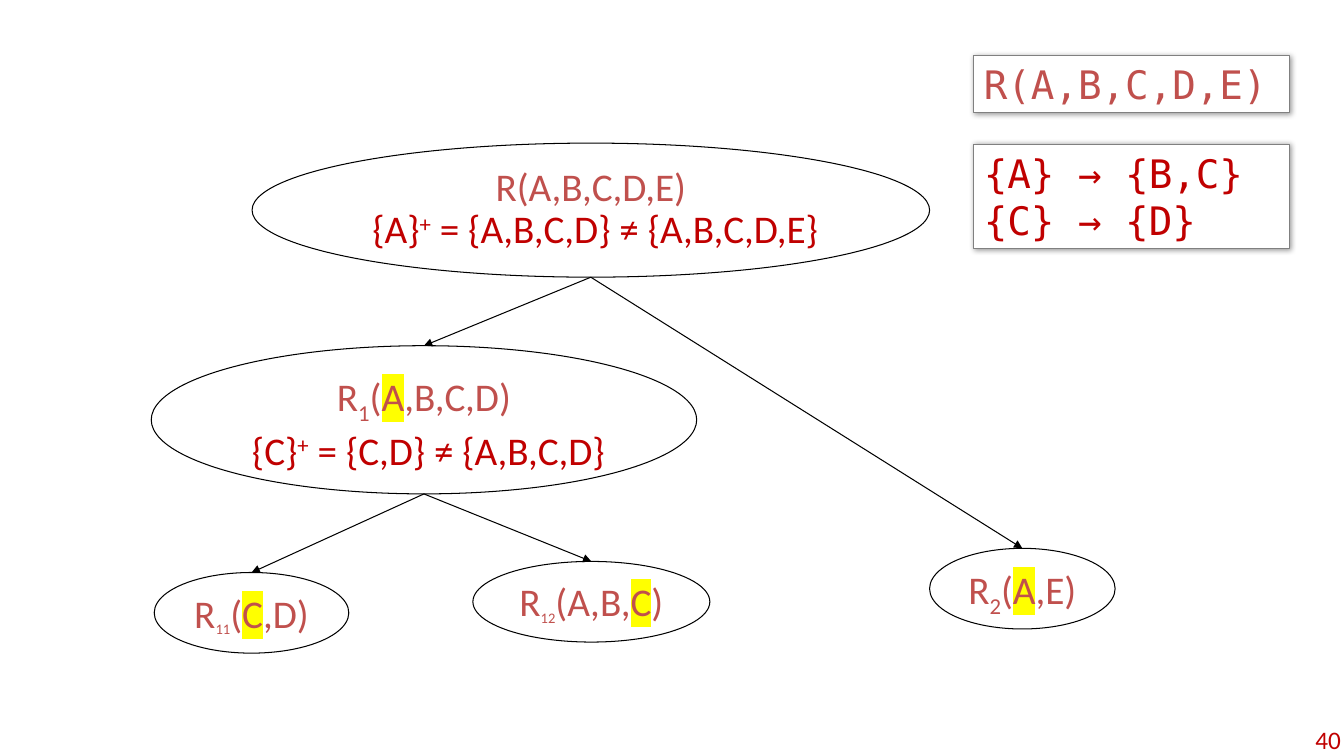
from dataclasses import dataclass

from lxml.etree import SubElement
from pptx import Presentation
from pptx.dml.color import RGBColor
from pptx.enum.shapes import MSO_CONNECTOR, MSO_SHAPE
from pptx.enum.text import MSO_ANCHOR, MSO_AUTO_SIZE, PP_ALIGN
from pptx.oxml.ns import qn
from pptx.util import Inches, Pt


@dataclass(frozen=True)
class Theme:
    relation: str = "C0504D"
    dependency: str = "C00000"
    highlight: str = "FFFF00"
    ink: str = "000000"
    paper: str = "FFFFFF"
    border: str = "808080"
    body_font: str = "Calibri"
    code_font: str = "DejaVu Sans Mono"
    body: int = 28
    small: int = 18
    line: float = 0.75


T = Theme()
SUB, SUP = -25000, 30000
KEY = dict(highlight=T.highlight)

# Each node: box, lines of (text, format) runs, paragraph format
NODES = {
    "R": ((2.5, 1.42, 6.72, 1.33), [
        [("R(A,B,C,D,E)", {})],
        [(" {A}", {}), ("+", dict(baseline=SUP)), (" = {A,B,C,D} ≠ {A,B,C,D,E}", {})],
    ], dict(spacing=0.9)),
    "R1": ((1.5, 3.43, 5.41, 1.47), [
        [("R", {}), ("1", dict(baseline=SUB)), ("(", {}), ("A", KEY), (",B,C,D)", {})],
        [(" {C}", {}), ("+", dict(baseline=SUP)), (" = {C,D} ≠ {A,B,C,D}", {})],
    ], {}),
    "R2": ((9.22, 5.44, 1.84, 0.8), [
        [("R", {}), ("2", dict(baseline=SUB)), ("(", {}), ("A", KEY), (",E)", {})],
    ], {}),
    "R11": ((1.53, 5.68, 1.93, 0.8), [
        [("R", {}), ("11", dict(size=T.small, baseline=SUB)), ("(", {}), ("C", KEY), (",D)", {})],
    ], {}),
    "R12": ((4.69, 5.57, 2.35, 0.8), [
        [("R", {}), ("12", dict(size=T.small, baseline=SUB)), ("(A,B,", {}), ("C", KEY), (")", {})],
    ], dict(anchor=MSO_ANCHOR.MIDDLE)),
}
EDGES = [("R", "R1"), ("R", "R2"), ("R1", "R11"), ("R1", "R12")]


def rgb(color):
    return RGBColor.from_string(color)


def add_text(p, text, size=T.body, font=T.body_font, color=T.relation,
             baseline=None, highlight=None):
    r = p.add_run()
    r.text = text
    r.font.size = Pt(size)
    r.font.color.rgb = rgb(color)
    rPr = r.font._element
    if baseline:
        rPr.set("baseline", str(baseline))
    if highlight:
        SubElement(SubElement(rPr, qn("a:highlight")), qn("a:srgbClr"), val=highlight)
    r.font.name = font


def add_outlined(s, kind, box, line):
    sp = s.shapes.add_shape(kind, *map(Inches, box))
    sp.shadow.inherit = False
    sp.fill.background()
    sp.line.color.rgb = rgb(line)
    sp.line.width = Pt(T.line)
    sp.text_frame.auto_size = MSO_AUTO_SIZE.SHAPE_TO_FIT_TEXT
    sp.text_frame.vertical_anchor = MSO_ANCHOR.TOP
    return sp


def add_node(s, box, lines, spacing=None, anchor=MSO_ANCHOR.TOP):
    """Ellipse with the relation on line one and its closure below."""
    tf = add_outlined(s, MSO_SHAPE.OVAL, box, T.ink).text_frame
    tf.word_wrap = False
    tf.vertical_anchor = anchor
    p = tf.paragraphs[0]
    p.alignment = PP_ALIGN.CENTER
    p.line_spacing = spacing
    p.space_before = Pt(T.body * 0.2)
    for i, (runs, color) in enumerate(zip(lines, (T.relation, T.dependency))):
        if i:
            p.add_line_break()
        for text, fmt in runs:
            add_text(p, text, color=color, **fmt)


def add_edge(s, parent, child):
    """Arrow from the bottom of the parent box to the top of the child box."""
    (px, py, pw, ph), (cx, cy, cw, _) = parent, child
    ends = (px + pw / 2, py + ph, cx + cw / 2, cy)
    line = s.shapes.add_connector(MSO_CONNECTOR.STRAIGHT, *map(Inches, ends))
    line.line.color.rgb = rgb(T.ink)
    line.line.width = Pt(T.line)
    SubElement(line.line._get_or_add_ln(), qn("a:tailEnd"), type="triangle")
    SubElement(line._element.spPr, qn("a:effectLst"))


def add_tree(s):
    for box, lines, fmt in NODES.values():
        add_node(s, box, lines, **fmt)
    for parent, child in EDGES:
        add_edge(s, NODES[parent][0], NODES[child][0])


def add_shadow(sp):
    effects = sp._element.spPr.find(qn("a:effectLst"))
    shadow = SubElement(effects, qn("a:outerShdw"), blurRad=str(Pt(4)),
                        dist=str(Pt(1)), dir=str(45 * 60000), rotWithShape="0")
    color = SubElement(shadow, qn("a:srgbClr"), val=T.ink)
    SubElement(color, qn("a:alpha"), val="40000")


def add_code_box(s, box, lines, color):
    sp = add_outlined(s, MSO_SHAPE.RECTANGLE, box, T.border)
    sp.fill.solid()
    sp.fill.fore_color.rgb = rgb(T.paper)
    add_shadow(sp)
    tf = sp.text_frame
    tf.word_wrap = True
    for i, text in enumerate(lines):
        p = tf.add_paragraph() if i else tf.paragraphs[0]
        p.alignment = PP_ALIGN.LEFT
        add_text(p, text, font=T.code_font, color=color)


def add_page_number(s, box, number):
    tf = s.shapes.add_textbox(*map(Inches, box)).text_frame
    tf.word_wrap = True
    tf.vertical_anchor = MSO_ANCHOR.MIDDLE
    tf.margin_left = tf.margin_right = tf.margin_top = tf.margin_bottom = 0
    p = tf.paragraphs[0]
    p.alignment = PP_ALIGN.RIGHT
    add_text(p, number, size=T.small, color=T.dependency)


def main():
    prs = Presentation()
    prs.slide_width, prs.slide_height = Inches(13.33), Inches(7.5)
    s = prs.slides.add_slide(prs.slide_layouts[6])
    add_page_number(s, (10.19, 7.2, 3.11, 0.27), "40")
    add_tree(s)
    add_code_box(s, (9.66, 0.55, 3.13, 0.57), ["R(A,B,C,D,E)"], T.relation)
    add_code_box(s, (9.66, 1.43, 3.13, 1.04), ["{A} → {B,C}", "{C} → {D}"], T.dependency)
    prs.save("out.pptx")


if __name__ == "__main__":
    main()
